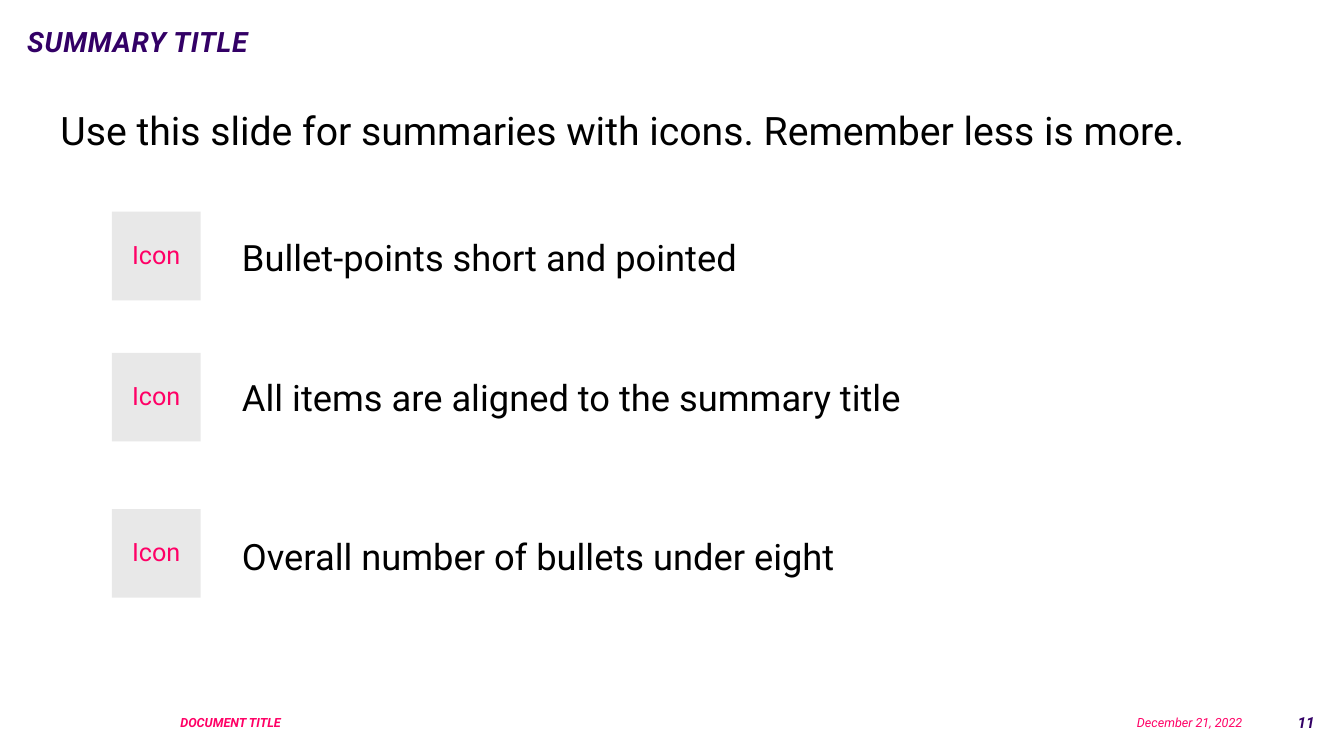
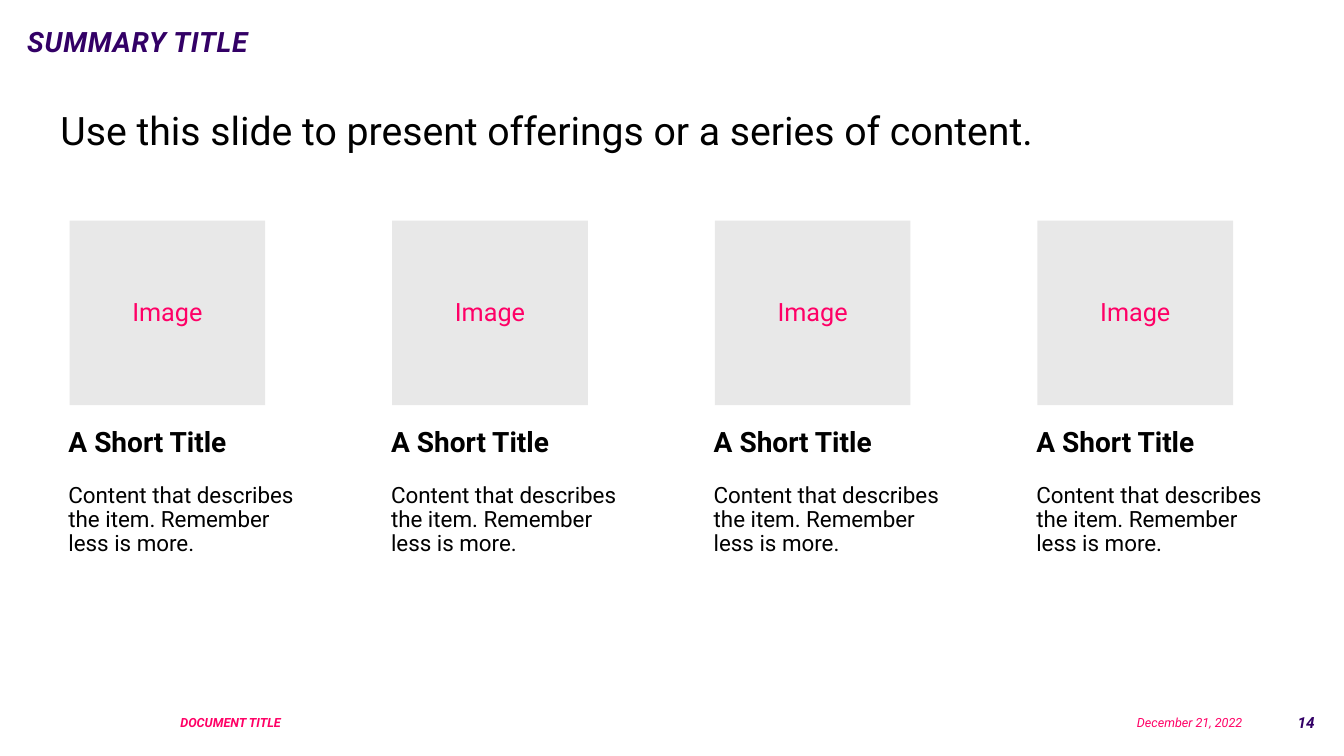
from pptx import Presentation
from pptx.dml.color import RGBColor
from pptx.enum.shapes import MSO_SHAPE
from pptx.enum.text import MSO_ANCHOR, MSO_AUTO_SIZE, PP_ALIGN
from pptx.oxml.ns import qn
from pptx.util import Inches, Pt

LEFT, CENTER, RIGHT = PP_ALIGN.LEFT, PP_ALIGN.CENTER, PP_ALIGN.RIGHT
TOP, MIDDLE = MSO_ANCHOR.TOP, MSO_ANCHOR.MIDDLE
FIXED = MSO_AUTO_SIZE.NONE
RECTANGLE = MSO_SHAPE.RECTANGLE

FONT = "Roboto"
COLORS = {"ink": "000000", "accent": "FF0066", "heading": "330066", "tile": "E8E8E8"}

TITLE = "SUMMARY TITLE"
TITLE_BOX = (0.17, 0.26, 13, 0.3)
BODY_BOX = (0.5, 1, 12.35, 5.25)
FOOTER_TOP, FOOTER_HEIGHT = 7.02, 0.3

ICON_SLIDE = {
    "number": "11",
    "lead": "Use this slide for summaries with icons. Remember less is more.",
    # text, top of icon, top of text
    "bullets": [
        ("Bullet-points short and pointed", 2.1, 2.28),
        ("All items are aligned to the summary title", 3.5, 3.67),
        ("Overall number of bullets under eight", 5.05, 5.25),
    ],
}
OFFERING_SLIDE = {
    "number": "14",
    "lead": "Use this slide to present offerings or a series of content.",
    "cards": [("A Short Title", "Content that describes the item. Remember less is more.")] * 4,
}
ICON_LEFT, ICON_SIZE, BULLET_LEFT = 1.11, 0.88, 2.35
CARD_LEFT, CARD_PITCH, CARD_TEXT_SHIFT = 0.69, 3.2, -0.11


def inches(box):
    return [Inches(value) for value in box]


def style(paragraph, size, color="ink", align=LEFT, bold=False, italic=False, spacing=None):
    paragraph.alignment = align
    paragraph.line_spacing = spacing
    for run in paragraph.runs:
        font = run.font
        font.name, font.size, font.bold, font.italic = FONT, Pt(size), bold, italic
        font.color.rgb = RGBColor.from_string(COLORS[color])


def set_insets(frame, inset):
    frame.margin_left = frame.margin_right = Inches(inset)
    frame.margin_top = frame.margin_bottom = Inches(inset)


def add_text(slide, box, text, anchor=TOP):
    frame = slide.shapes.add_textbox(*inches(box)).text_frame
    frame.word_wrap = True
    frame.vertical_anchor = anchor
    frame.text = text
    return frame


def add_tile(slide, box, label):
    """Add a grey stand-in for an icon or image."""
    tile = slide.shapes.add_shape(RECTANGLE, *inches(box))
    tile.shadow.inherit = False
    tile.fill.solid()
    tile.fill.fore_color.rgb = RGBColor.from_string(COLORS["tile"])
    tile.line.fill.background()
    frame = tile.text_frame
    set_insets(frame, 0.15)
    frame.word_wrap = True
    frame.vertical_anchor = MIDDLE
    frame.text = label
    style(frame.paragraphs[0], 18, "accent", CENTER, spacing=0.9)


def prepare_layout(prs):
    """Place the title and body once, for every slide to inherit."""
    layout = prs.slide_layouts[1]
    for placeholder, box in zip(layout.placeholders, (TITLE_BOX, BODY_BOX)):
        placeholder.left, placeholder.top, placeholder.width, placeholder.height = inches(box)
        placeholder.text_frame.vertical_anchor = TOP
        placeholder.text_frame.auto_size = FIXED
    return layout


def add_slide(prs, layout, content):
    """Add a slide with the shared title, lead sentence and footer."""
    slide = prs.slides.add_slide(layout)
    title, body = slide.placeholders

    title.text_frame.text = TITLE
    heading = title.text_frame.paragraphs[0]
    style(heading, 20, "heading", bold=True, italic=True, spacing=0.8)
    heading.runs[0].font._element.set("spc", "50")

    body.text_frame.text = content["lead"]
    lead = body.text_frame.paragraphs[0]
    properties = lead._p.get_or_add_pPr()
    properties.set("marL", "0")
    properties.set("indent", "0")
    properties.append(properties.makeelement(qn("a:buNone"), {}))
    lead.space_before = Pt(0)
    style(lead, 28)

    footers = [
        ("December 21, 2022", 10.06, 2.36, 9, "accent", RIGHT, False),
        ("DOCUMENT TITLE", 1.69, 6.21, 9, "accent", LEFT, True),
        (content["number"], 12.61, 0.53, 11, "heading", RIGHT, True),
    ]
    for text, left, width, size, color, align, bold in footers:
        frame = add_text(slide, (left, FOOTER_TOP, width, FOOTER_HEIGHT), text, MIDDLE)
        style(frame.paragraphs[0], size, color, align, bold, italic=True)
    return slide


def add_bullets(slide, bullets):
    for text, icon_top, text_top in bullets:
        add_tile(slide, (ICON_LEFT, icon_top, ICON_SIZE, ICON_SIZE), "Icon")
        frame = add_text(slide, (BULLET_LEFT, text_top, 7.5, 0.5), text)
        set_insets(frame, 0.05)
        style(frame.paragraphs[0], 25.9)


def add_cards(slide, cards):
    for column, (name, description) in enumerate(cards):
        left = CARD_LEFT + column * CARD_PITCH
        add_tile(slide, (left, 2.19, 1.94, 1.83), "Image")
        frame = add_text(slide, (left + CARD_TEXT_SHIFT, 4.15, 2.58, 1.48), name)
        set_insets(frame, 0.1)
        style(frame.paragraphs[0], 20, bold=True, spacing=0.9)
        detail = frame.add_paragraph()
        detail.text = description
        detail.space_before = Pt(18)
        style(detail, 16, spacing=0.9)


def main():
    prs = Presentation()
    prs.slide_width, prs.slide_height = Inches(13.33), Inches(7.5)
    layout = prepare_layout(prs)
    add_bullets(add_slide(prs, layout, ICON_SLIDE), ICON_SLIDE["bullets"])
    add_cards(add_slide(prs, layout, OFFERING_SLIDE), OFFERING_SLIDE["cards"])
    prs.save("out.pptx")


if __name__ == "__main__":
    main()
